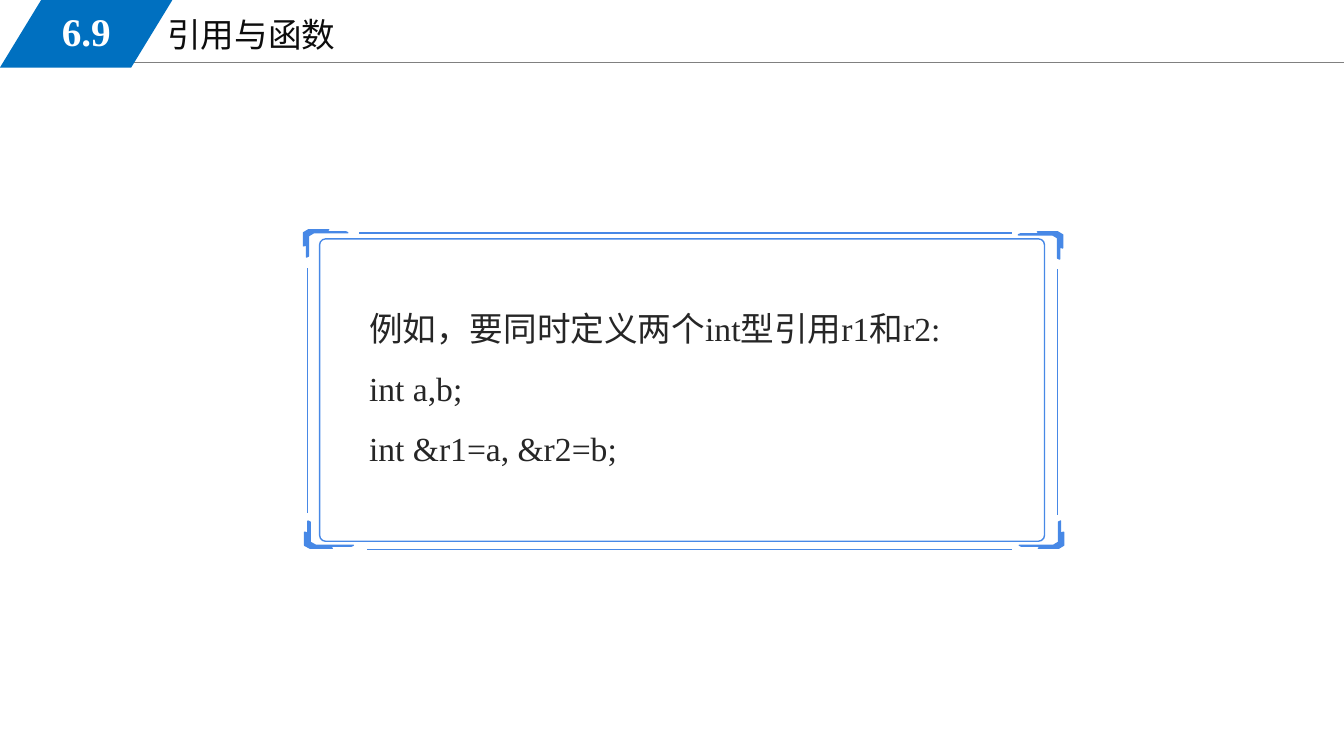
"""Build the slide on references and functions."""
from dataclasses import dataclass

from lxml import etree
from pptx import Presentation
from pptx.dml.color import RGBColor
from pptx.enum.shapes import MSO_CONNECTOR, MSO_SHAPE
from pptx.enum.text import MSO_ANCHOR, MSO_AUTO_SIZE, PP_ALIGN
from pptx.oxml.ns import qn
from pptx.util import Inches, Pt

LINE = MSO_CONNECTOR.STRAIGHT
SLANT, ROUND = MSO_SHAPE.PARALLELOGRAM, MSO_SHAPE.ROUNDED_RECTANGLE
TOP, MIDDLE = MSO_ANCHOR.TOP, MSO_ANCHOR.MIDDLE
LEFT, CENTER = PP_ALIGN.LEFT, PP_ALIGN.CENTER
FIXED = MSO_AUTO_SIZE.NONE
WIDE, HIGH = Inches(13.33), Inches(7.5)


@dataclass(frozen=True)
class Theme:
    font: str = "Times New Roman"
    title: str = "0D0D0D"
    body: str = "262626"
    white: str = "FFFFFF"
    badge: str = "0070C0"
    rule: str = "808080"
    frame: str = "4788E6"
    text: int = 24
    number: int = 28
    thin: float = 0.75
    edge: float = 1


THEME = Theme()
CORNER = [(0.38, 0), (0.98, 0), (1.88, 0), (1.65, 0.27), (3.15, 0.27),
          (3.3, 0.4), (0.75, 0.4), (0.38, 0.8), (0.38, 3.47), (0.23, 3.6),
          (0.23, 2), (0, 2.13), (0, 0.67), (0, 0.4)]
CORNERS = [(22.58, 30.4, 1, 1), (79.07, 30.67, -1, 1),
           (22.66, 72.53, 1.1, -1), (79.14, 72.53, -1, -1)]
SIDES = [(26.71, 30.8, 75.32, 30.8), (27.31, 72.67, 75.32, 72.67),
         (22.88, 35.47, 22.88, 67.87), (78.69, 35.6, 78.69, 68.13)]


def place(*shares):
    """Turn percent shares of the slide, x and y in turn, into lengths."""
    return [round(share * (HIGH if i % 2 else WIDE) / 100)
            for i, share in enumerate(shares)]


def apply(item, values):
    """Set each attribute in the dict on the item."""
    for name, value in values.items():
        setattr(item, name, value)


def paint(shape, fill=None, line=None):
    """Give a shape its fill and line, without shadow."""
    shape.shadow.inherit = False
    if fill:
        shape.fill.solid()
        shape.fill.fore_color.rgb = RGBColor.from_string(fill)
    else:
        shape.fill.background()
    if line:
        shape.line.color.rgb = RGBColor.from_string(line)
        shape.line.width = Pt(THEME.edge)
    else:
        shape.line.fill.background()


def stroke(shapes, ends, color, width):
    """Draw a straight line."""
    line = shapes.add_connector(LINE, *place(*ends))
    line.line.color.rgb = RGBColor.from_string(color)
    line.line.width = Pt(width)
    etree.SubElement(line._element.spPr, qn("a:effectLst"))


def preset(shapes, kind, area, adjust, **look):
    """Draw a preset shape."""
    shape = shapes.add_shape(kind, *place(*area))
    shape.adjustments[0] = adjust
    paint(shape, **look)


def corner(shapes, x, y, across, down):
    """Draw a frame corner, turned by the signs of its two factors."""
    dots = [place(x + a * across, y + b * down) for a, b in CORNER]
    form = shapes.build_freeform(*dots[0])
    form.add_line_segments(dots[1:], close=True)
    paint(form.convert_to_shape(), THEME.frame, THEME.frame)


def write(shape, area, lines, color, size=THEME.text, bold=False,
          anchor=TOP, align=LEFT, pitch=1.0):
    """Move a text shape and fill it with paragraphs."""
    apply(shape, dict(zip(("left", "top", "width", "height"), place(*area))))
    frame = shape.text_frame
    frame.text = "\n".join(lines)
    apply(frame, {"word_wrap": True, "auto_size": FIXED,
                  "vertical_anchor": anchor})
    for para in frame.paragraphs:
        props = para._p.get_or_add_pPr()
        props.set("marL", "0")
        props.set("indent", "0")
        etree.SubElement(props, qn("a:buNone"))
        apply(para, {"alignment": align, "line_spacing": pitch,
                     "space_before": Pt(0)})
        for run in para.runs:
            apply(run.font, {"name": THEME.font, "size": Pt(size),
                             "bold": bold})
            run.font.color.rgb = RGBColor.from_string(color)


def header(slide):
    """Build the numbered heading."""
    shapes = slide.shapes
    stroke(shapes, (8.48, 8.27, 100, 8.27), THEME.rule, THEME.thin)
    write(shapes.title, (11.7, 1.2, 42.54, 22.93), ["引用与函数"], THEME.title)
    preset(shapes, SLANT, (0, 0, 12.83, 8.93), 0.61, fill=THEME.badge)
    area = (1.88, 0.27, 9.08, 7.73)
    write(shapes.add_textbox(*place(*area)), area, ["6.9"], THEME.white,
          THEME.number, True, MIDDLE, CENTER)


def border(slide):
    """Build the frame around the example."""
    shapes = slide.shapes.add_group_shape().shapes
    preset(shapes, ROUND, (23.78, 31.6, 53.94, 40), 0.02, line=THEME.frame)
    for spot in CORNERS:
        corner(shapes, *spot)
    for ends in SIDES:
        stroke(shapes, ends, THEME.frame, THEME.edge)


def main():
    """Build and save the deck."""
    deck = Presentation()
    apply(deck, {"slide_width": WIDE, "slide_height": HIGH})
    slide = deck.slides.add_slide(deck.slide_layouts[1])
    header(slide)
    write(slide.placeholders[1], (26.71, 37.33, 46.74, 32.27),
          ["例如，要同时定义两个int型引用r1和r2:", "int a,b;",
           "int &r1=a, &r2=b;"], THEME.body, pitch=1.5)
    border(slide)
    deck.save("out.pptx")


if __name__ == "__main__":
    main()
